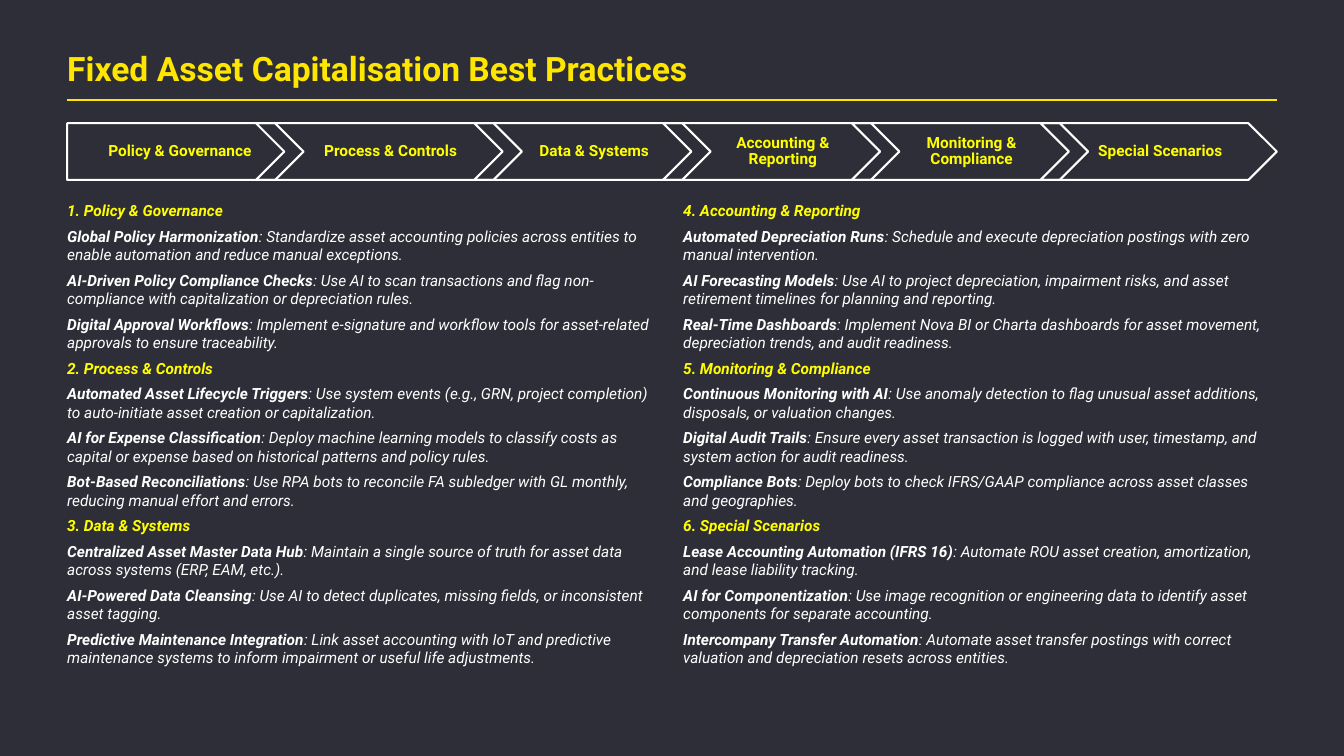
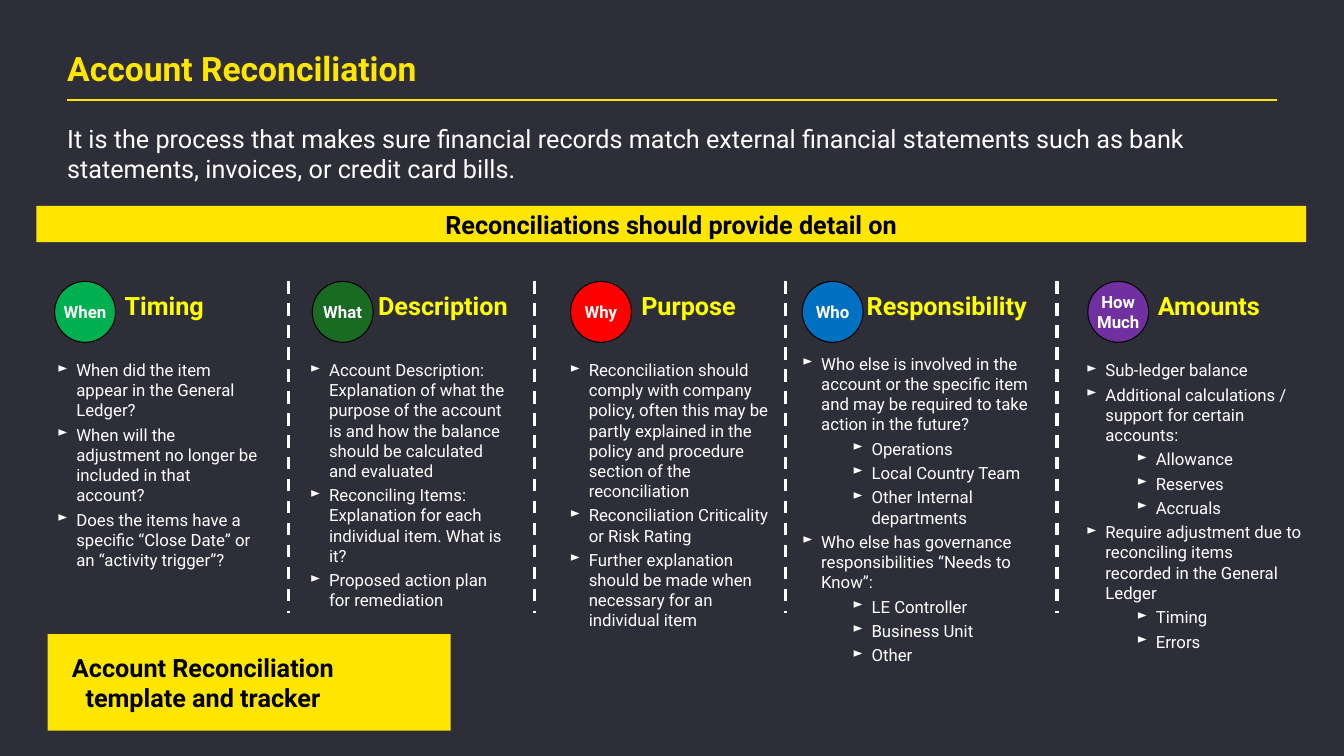
from lxml import etree
from pptx import Presentation
from pptx.dml.color import RGBColor
from pptx.enum.dml import MSO_LINE
from pptx.enum.shapes import MSO_CONNECTOR, MSO_SHAPE
from pptx.enum.text import MSO_ANCHOR, MSO_AUTO_SIZE, PP_ALIGN
from pptx.oxml.ns import qn
from pptx.util import Pt

LEFT, CENTER = PP_ALIGN.LEFT, PP_ALIGN.CENTER
TOP, MIDDLE = MSO_ANCHOR.TOP, MSO_ANCHOR.MIDDLE
NO_AUTOFIT = MSO_AUTO_SIZE.NONE
RECT, OVAL = MSO_SHAPE.RECTANGLE, MSO_SHAPE.OVAL
PENTAGON, CHEVRON = MSO_SHAPE.PENTAGON, MSO_SHAPE.CHEVRON
STRAIGHT, DASH = MSO_CONNECTOR.STRAIGHT, MSO_LINE.DASH

FONT = "Roboto"
DARK, BRAND, YELLOW = "2E2E38", "FFE600", "FFFF00"
WHITE, BLACK = "FFFFFF", "000000"
MARGIN, CONTENT_W = 48, 864
INSET = (7.2, 3.6, 7.2, 3.6)
TWO_CONTENT, TITLE_CONTENT = 3, 1

STEPS = [
    ("Policy & Governance", 168.8), ("Process & Controls", 190),
    ("Data & Systems", 168.8), ("Accounting &\nReporting", 168.8),
    ("Monitoring &\nCompliance", 168.8), ("Special Scenarios", 168.8),
]
STEP_OVERLAP = 34

PRACTICES_LEFT = [
    ("1. Policy & Governance", [
        ("Global Policy Harmonization", "Standardize asset accounting policies across entities to enable automation and reduce manual exceptions."),
        ("AI-Driven Policy Compliance Checks", "Use AI to scan transactions and flag non-compliance with capitalization or depreciation rules."),
        ("Digital Approval Workflows", "Implement e-signature and workflow tools for asset-related approvals to ensure traceability."),
    ]),
    ("2. Process & Controls", [
        ("Automated Asset Lifecycle Triggers", "Use system events (e.g., GRN, project completion) to auto-initiate asset creation or capitalization."),
        ("AI for Expense Classification", "Deploy machine learning models to classify costs as capital or expense based on historical patterns and policy rules."),
        ("Bot-Based Reconciliations", "Use RPA bots to reconcile FA subledger with GL monthly, reducing manual effort and errors."),
    ]),
    ("3. Data & Systems", [
        ("Centralized Asset Master Data Hub", "Maintain a single source of truth for asset data across systems (ERP, EAM, etc.)."),
        ("AI-Powered Data Cleansing", "Use AI to detect duplicates, missing fields, or inconsistent asset tagging."),
        ("Predictive Maintenance Integration", "Link asset accounting with IoT and predictive maintenance systems to inform impairment or useful life adjustments."),
    ]),
]
PRACTICES_RIGHT = [
    ("4. Accounting & Reporting", [
        ("Automated Depreciation Runs", "Schedule and execute depreciation postings with zero manual intervention."),
        ("AI Forecasting Models", "Use AI to project depreciation, impairment risks, and asset retirement timelines for planning and reporting."),
        ("Real-Time Dashboards", "Implement Nova BI or Charta dashboards for asset movement, depreciation trends, and audit readiness."),
    ]),
    ("5. Monitoring & Compliance", [
        ("Continuous Monitoring with AI", "Use anomaly detection to flag unusual asset additions, disposals, or valuation changes."),
        ("Digital Audit Trails", "Ensure every asset transaction is logged with user, timestamp, and system action for audit readiness."),
        ("Compliance Bots", "Deploy bots to check IFRS/GAAP compliance across asset classes and geographies."),
    ]),
    ("6. Special Scenarios", [
        ("Lease Accounting Automation (IFRS 16)", "Automate ROU asset creation, amortization, and lease liability tracking."),
        ("AI for Componentization", "Use image recognition or engineering data to identify asset components for separate accounting."),
        ("Intercompany Transfer Automation", "Automate asset transfer postings with correct valuation and depreciation resets across entities."),
    ]),
]

# badge, colour, badge x, heading, heading x, list box, (level, text) items
DETAILS = [
    ("When", "00B050", 39, "Timing", 82, (34, 253.5, 158, 130), [
        (0, "When did the item appear in the General Ledger?"),
        (0, "When will the adjustment no longer be included in that account?"),
        (0, "Does the items have a specific “Close Date” or an “activity trigger”?"),
    ]),
    ("What", "196B24", 223, "Description", 263, (214.5, 253.5, 158, 187), [
        (0, "Account Description: Explanation of what the purpose of the account is and how the balance should be calculated and evaluated"),
        (0, "Reconciling Items: Explanation for each individual item. What is it?"),
        (0, "Proposed action plan for remediation"),
    ]),
    ("Why", "FF0000", 407.5, "Purpose", 451, (400, 253.5, 158, 202), [
        (0, "Reconciliation should comply with company policy, often this may be partly explained in the policy and procedure section of the reconciliation"),
        (0, "Reconciliation Criticality or Risk Rating"),
        (0, "Further explanation should be made when necessary for an individual item"),
    ]),
    ("Who", "0070C0", 573, "Responsibility", 612, (566, 249, 189, 232), [
        (0, "Who else is involved in the account or the specific item and may be required to take action in the future?"),
        (1, "Operations"),
        (1, "Local Country Team"),
        (1, "Other Internal departments"),
        (0, "Who else has governance responsibilities “Needs to Know”:"),
        (1, "LE Controller"),
        (1, "Business Unit"),
        (1, "Other"),
    ]),
    ("How\nMuch", "7030A0", 777, "Amounts", 820, (769, 253.5, 168.5, 203), [
        (0, "Sub-ledger balance"),
        (0, "Additional calculations / support for certain accounts:"),
        (1, "Allowance"),
        (1, "Reserves"),
        (1, "Accruals"),
        (0, "Require adjustment due to reconciling items recorded in the General Ledger"),
        (1, "Timing"),
        (1, "Errors"),
    ]),
]
DIVIDERS = (206, 382, 561, 755)


def rgb(color):
    """Return the colour for a hex string."""
    return RGBColor.from_string(color)


def style(p, size, color, bold=False, italic=False):
    """Format every run of a paragraph."""
    for r in p.runs:
        r.font.name, r.font.size = FONT, Pt(size)
        r.font.bold, r.font.italic = bold, italic
        r.font.color.rgb = rgb(color)


def set_frame(tf, inset=INSET, anchor=TOP, wrap=True):
    """Set insets, anchor and wrapping of a text frame."""
    tf.auto_size, tf.word_wrap, tf.vertical_anchor = NO_AUTOFIT, wrap, anchor
    tf.margin_left, tf.margin_top, tf.margin_right, tf.margin_bottom = map(Pt, inset)


def set_bullet(p, char=None, indent=0, hang=0):
    """Give a paragraph a bullet character, or none, and its indents."""
    pPr = p._p.get_or_add_pPr()
    pPr.set("marL", str(Pt(indent)))
    pPr.set("indent", str(Pt(-hang)))
    if char:
        etree.SubElement(pPr, qn("a:buSzPct"), val="80000")
        etree.SubElement(pPr, qn("a:buChar"), char=char)
    else:
        etree.SubElement(pPr, qn("a:buNone"))


def place(ph, x, y, w, h):
    """Move a placeholder and clear its insets; return its text frame."""
    ph.left, ph.top, ph.width, ph.height = map(Pt, (x, y, w, h))
    set_frame(ph.text_frame, (0, 0, 0, 0))
    return ph.text_frame


def add_box(s, x, y, w, h):
    """Add a wrapping text box and return its text frame."""
    tf = s.shapes.add_textbox(*map(Pt, (x, y, w, h))).text_frame
    set_frame(tf)
    return tf


def add_shape(s, kind, box, text, size, color, fill=None, line=None,
              inset=INSET, wrap=True):
    """Add a preset shape with bold centred text; line is (colour, width)."""
    sp = s.shapes.add_shape(kind, *map(Pt, box))
    sp.shadow.inherit = False
    if fill:
        sp.fill.solid()
        sp.fill.fore_color.rgb = rgb(fill)
    else:
        sp.fill.background()
    if line:
        sp.line.color.rgb, sp.line.width = rgb(line[0]), Pt(line[1])
    else:
        sp.line.fill.background()
    tf = sp.text_frame
    set_frame(tf, inset, MIDDLE, wrap)
    tf.text = text
    for p in tf.paragraphs:
        p.alignment = CENTER
        style(p, size, color, bold=True)
    return sp


def add_line(s, x1, y1, x2, y2, color, width, dash=None):
    """Add a straight line without shadow."""
    ln = s.shapes.add_connector(STRAIGHT, *map(Pt, (x1, y1, x2, y2)))
    ln.line.color.rgb, ln.line.width = rgb(color), Pt(width)
    if dash:
        ln.line.dash_style = dash
    etree.SubElement(ln._element.spPr, qn("a:effectLst"))


def new_slide(prs, layout, title):
    """Add a slide with the shared title and rule."""
    s = prs.slides.add_slide(prs.slide_layouts[layout])
    tf = place(s.shapes.title, MARGIN, 34.5, 858, 30)
    tf.text = title
    p = tf.paragraphs[0]
    p.alignment = LEFT
    style(p, 24, BRAND, bold=True)
    add_line(s, MARGIN, 71.5, MARGIN + CONTENT_W, 71.5, BRAND, 1.5)
    return s


def add_steps(s):
    """Draw the process arrow row."""
    x = MARGIN
    for i, (text, w) in enumerate(STEPS):
        sp = add_shape(s, CHEVRON if i else PENTAGON, (x, 88, w, 40.5), text, 11,
                       YELLOW, line=(WHITE, 1.5), inset=(4, 2, 1.5, 2))
        for p in sp.text_frame.paragraphs:
            p.line_spacing = 0.9
        x += w - STEP_OVERLAP


def fill_practices(tf, sections):
    """Write headed sections of practices, each with a bold lead."""
    rows = []
    for heading, items in sections:
        rows.append((heading, None))
        rows.extend(items)
    for i, (lead, detail) in enumerate(rows):
        p = tf.add_paragraph() if i else tf.paragraphs[0]
        p.text = lead
        set_bullet(p)
        p.space_before = Pt(5 if i else 0)
        if detail:
            p.add_run().text = ": " + detail
        style(p, 11, WHITE if detail else YELLOW, bold=True, italic=True)
        if detail:
            p.runs[1].font.bold = False


def add_detail(s, badge, color, badge_x, heading, heading_x, box, items):
    """Draw one column: badge, heading and bulleted list."""
    tf = add_box(s, heading_x, 206, 163, 33)
    tf.text = heading
    p = tf.paragraphs[0]
    p.line_spacing = 0.9
    style(p, 18, YELLOW, bold=True)
    add_shape(s, OVAL, (badge_x, 201, 43.5, 43.5), badge, 12, WHITE, color,
              (BLACK, 0.75), wrap=False)
    tf = add_box(s, *box)
    for i, (level, text) in enumerate(items):
        p = tf.add_paragraph() if i else tf.paragraphs[0]
        p.text, p.level = text, level
        set_bullet(p, "►", 13.5 + 36 * level, 13.5)
        p.space_after = Pt(3)
        style(p, 12, WHITE)


def build_practices(prs):
    """Build the best practices slide."""
    s = new_slide(prs, TWO_CONTENT, "Fixed Asset Capitalisation Best Practices")
    add_steps(s)
    fill_practices(place(s.placeholders[1], MARGIN, 144, 418, 390), PRACTICES_LEFT)
    fill_practices(place(s.placeholders[2], 488, 144, 424, 390), PRACTICES_RIGHT)


def build_reconciliation(prs):
    """Build the account reconciliation slide."""
    s = new_slide(prs, TITLE_CONTENT, "Account Reconciliation")
    tf = place(s.placeholders[1], MARGIN, 88, 855, 56)
    tf.text = ("It is the process that makes sure financial records match external "
               "financial statements such as bank statements, invoices, or credit card bills.")
    p = tf.paragraphs[0]
    set_bullet(p)
    p.space_before = Pt(0)
    style(p, 18, WHITE)
    add_shape(s, RECT, (26, 147, 907, 26), "Reconciliations should provide detail on",
              18, BLACK, BRAND)
    for detail in DETAILS:
        add_detail(s, *detail)
    for x in DIVIDERS:
        add_line(s, x, 201, x, 438, WHITE, 2.25, DASH)
    add_shape(s, RECT, (34, 453, 288, 69), "Account Reconciliation template and tracker",
              18, BLACK, BRAND, inset=(0, 3.6, 66, 3.6))


def main():
    """Build and save the presentation."""
    prs = Presentation()
    prs.slide_width, prs.slide_height = Pt(960), Pt(540)
    fill = prs.slide_master.background.fill
    fill.solid()
    fill.fore_color.rgb = rgb(DARK)
    build_practices(prs)
    build_reconciliation(prs)
    prs.save("out.pptx")


if __name__ == "__main__":
    main()
